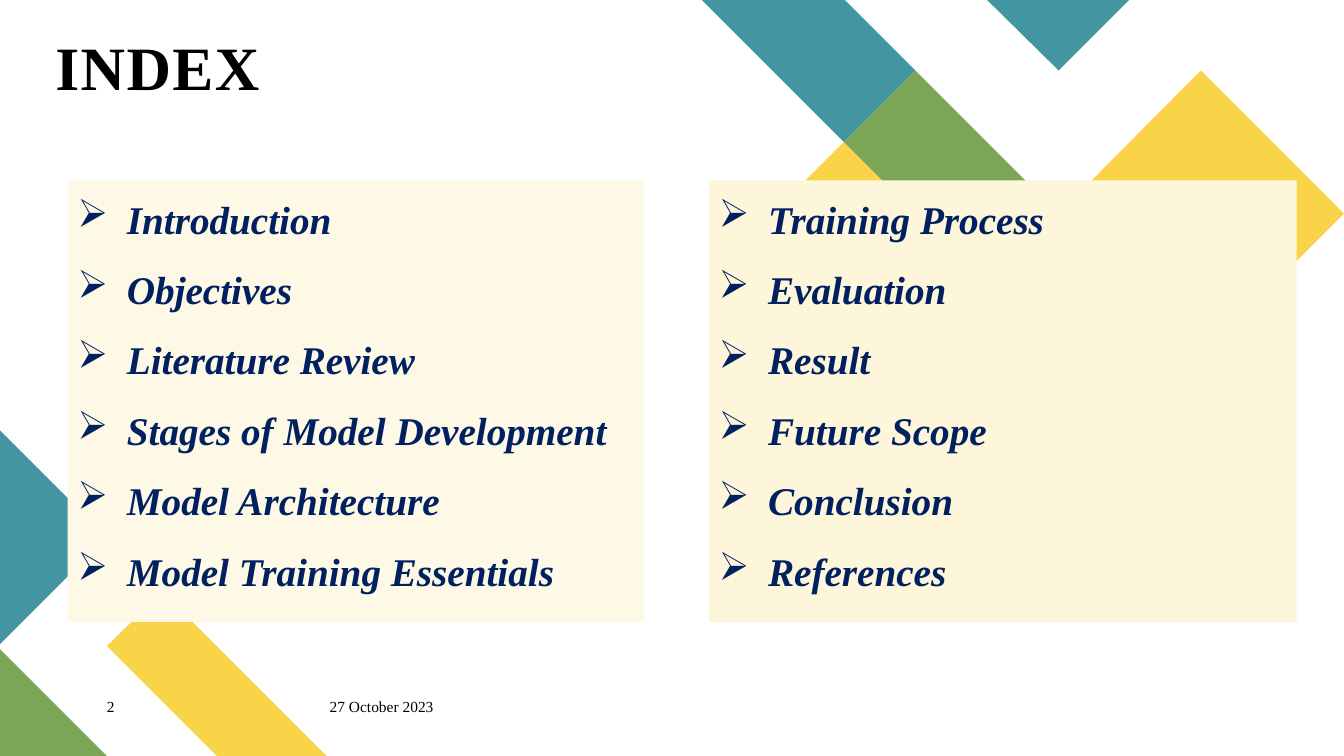
from lxml import etree
from pptx import Presentation
from pptx import util as u
from pptx.dml.color import RGBColor
from pptx.enum import shapes, text
from pptx.oxml.ns import qn

FONT = "Times New Roman"
TEAL, GREEN, YELLOW = "4495A2", "7CA655", "F9D448"
BLACK, NAVY = "000000", "002060"

DECOR = [
    (YELLOW, [[(3.24, 7.5), (2.15, 7.5), (1.06, 6.41), (1.61, 5.87)]]),
    (GREEN, [[(1.06, 7.5), (0, 7.5), (0, 6.44)]]),
    (TEAL, [[(0, 4.27), (1.06, 5.33), (0, 6.39)]]),
    (TEAL, [[(9.08, 0.7), (8.38, 0), (6.96, 0), (8.37, 1.41)],
            [(11.21, 2.83), (10.5, 2.12), (9.79, 2.83), (10.5, 3.54)]]),
    (YELLOW, [[(8.37, 1.41), (7.66, 2.12), (9.08, 3.54), (9.79, 2.83)]]),
    (TEAL, [[(11.2, 0), (9.79, 0), (10.5, 0.7)]]),
    (GREEN, [[(9.08, 0.7), (8.37, 1.41), (9.79, 2.83), (10.5, 2.12)]]),
    (YELLOW, [[(13.33, 2.12), (11.91, 0.7), (10.5, 2.12), (11.91, 3.54)]]),
]

LEFT_TOPICS = ["Introduction", "Objectives", "Literature Review",
               "Stages of Model Development", "Model Architecture",
               "Model Training Essentials"]
RIGHT_TOPICS = ["Training Process", "Evaluation", "Result",
                "Future Scope", "Conclusion", "References"]


def rgb(color):
    """Return the colour for a hex string."""
    return RGBColor.from_string(color)


def paint(sp, color):
    """Give a shape a flat fill without outline or shadow."""
    sp.fill.solid()
    sp.fill.fore_color.rgb = rgb(color)
    sp.line.fill.background()
    sp.shadow.inherit = False


def add_polygon(s, color, contours):
    """Draw one filled freeform from closed contours in inches."""
    outlines = [[(u.Inches(x), u.Inches(y)) for x, y in c] for c in contours]
    builder = s.shapes.build_freeform(*outlines[0][0], scale=1.0)
    builder.add_line_segments(outlines[0][1:], close=True)
    for outline in outlines[1:]:
        builder.move_to(*outline[0])
        builder.add_line_segments(outline[1:], close=True)
    paint(builder.convert_to_shape(), color)


def add_run(p, words, size, color, bold=False, italic=False):
    """Append a styled run to a paragraph."""
    r = p.add_run()
    r.text = words
    r.font.name = FONT
    r.font.size = u.Pt(size)
    r.font.bold = bold
    r.font.italic = italic
    r.font.color.rgb = rgb(color)
    return r


def add_label(s, box, words, size, bold=False, anchor=text.MSO_ANCHOR.TOP):
    """Add a one-line text box without margins and return its paragraph."""
    tf = s.shapes.add_textbox(*map(u.Inches, box)).text_frame
    tf.word_wrap = True
    tf.vertical_anchor = anchor
    tf.margin_left = tf.margin_right = tf.margin_top = tf.margin_bottom = 0
    p = tf.paragraphs[0]
    add_run(p, words, size, BLACK, bold)
    return p


def add_title(s, words):
    """Add the slide heading with slightly spaced letters."""
    p = add_label(s, (0.55, 0.14, 11.5, 0.89), words, 44, True,
                  text.MSO_ANCHOR.BOTTOM)
    p.line_spacing = 0.9
    p.runs[0].font._element.set("spc", "100")


def set_bullet(p, char, indent):
    """Give a paragraph a hanging bullet."""
    pPr = p._p.get_or_add_pPr()
    pPr.set("marL", str(u.Inches(indent)))
    pPr.set("indent", str(u.Inches(-indent)))
    etree.SubElement(pPr, qn("a:buChar")).set("char", char)


def add_topics(s, left, width, color, topics):
    """Add a tinted panel with a bulleted list of topics."""
    sp = s.shapes.add_shape(shapes.MSO_SHAPE.RECTANGLE, u.Inches(left),
                            u.Inches(1.79), u.Inches(width), u.Inches(4.38))
    paint(sp, color)
    tf = sp.text_frame
    tf.word_wrap = True
    tf.vertical_anchor = text.MSO_ANCHOR.TOP
    for i, topic in enumerate(topics):
        p = tf.add_paragraph() if i else tf.paragraphs[0]
        p.alignment = text.PP_ALIGN.JUSTIFY
        p.line_spacing = 1.2
        p.space_before = u.Pt(10)
        set_bullet(p, "➢", 0.49)
        add_run(p, topic, 28, NAVY, bold=True, italic=True)


def main():
    """Build the index slide."""
    prs = Presentation()
    prs.slide_width, prs.slide_height = u.Inches(13.33), u.Inches(7.5)
    s = prs.slides.add_slide(prs.slide_layouts[6])
    for color, contours in DECOR:
        add_polygon(s, color, contours)
    add_label(s, (1.06, 6.92, 0.57, 0.27), "2", 11)
    add_label(s, (3.27, 6.92, 1.44, 0.27), "27 October 2023", 11)
    add_title(s, "INDEX")
    add_topics(s, 0.67, 5.72, "FEF9E6", LEFT_TOPICS)
    add_topics(s, 7.03, 5.83, "FEF6DA", RIGHT_TOPICS)
    prs.save("out.pptx")


if __name__ == "__main__":
    main()
